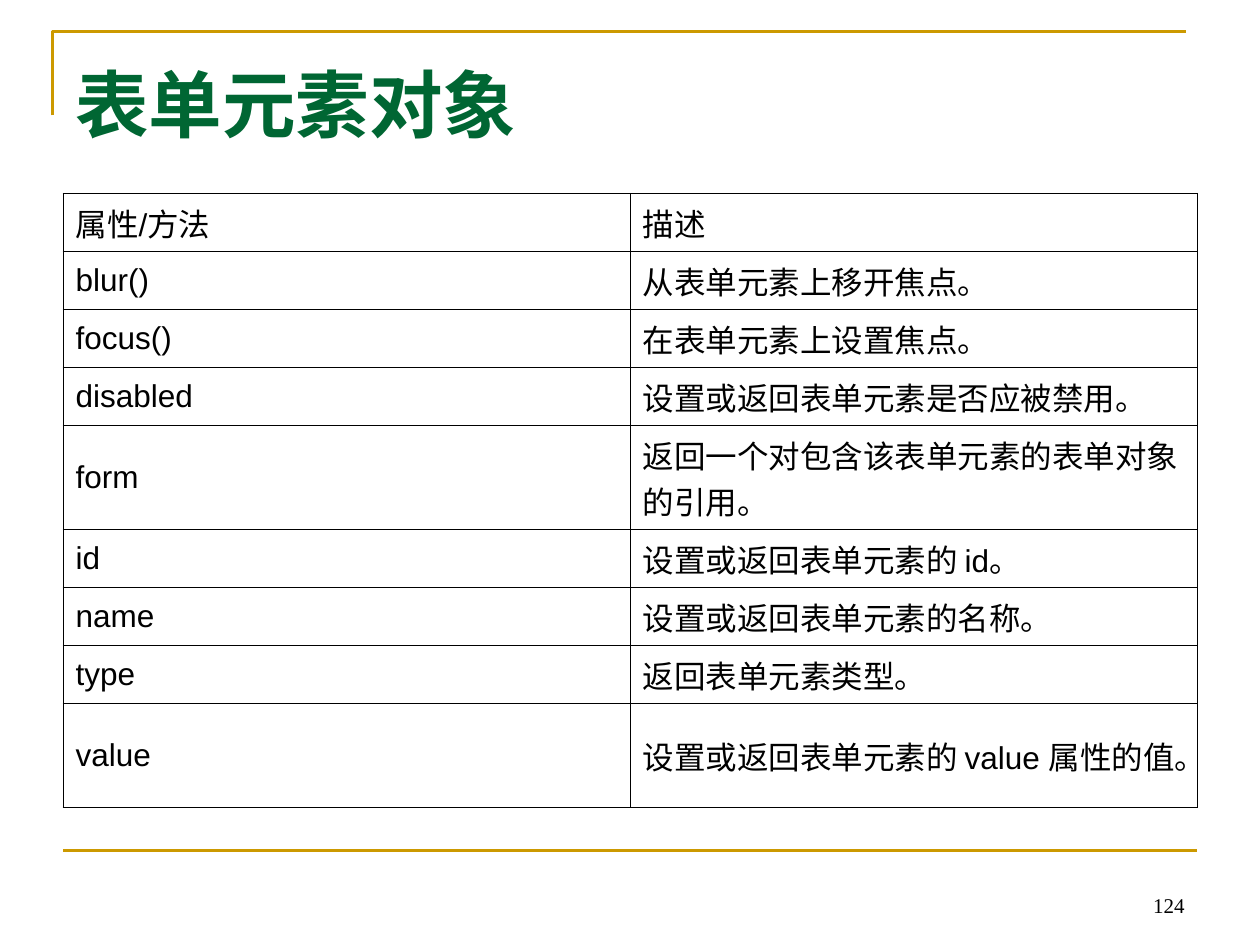
"""Build the slide listing properties and methods of form element objects."""
from lxml import etree
from pptx import Presentation
from pptx.dml.color import RGBColor
from pptx.enum.shapes import MSO_CONNECTOR
from pptx.enum.text import MSO_ANCHOR, PP_ALIGN
from pptx.oxml.ns import qn
from pptx.util import Pt

STRAIGHT = MSO_CONNECTOR.STRAIGHT
TOP, MIDDLE, BOTTOM = MSO_ANCHOR.TOP, MSO_ANCHOR.MIDDLE, MSO_ANCHOR.BOTTOM
LEFT, RIGHT = PP_ALIGN.LEFT, PP_ALIGN.RIGHT
GOLD = RGBColor(0xCC, 0x99, 0x00)
GREEN = RGBColor(0x00, 0x66, 0x33)
BLACK = RGBColor(0x00, 0x00, 0x00)
WHITE = RGBColor(0xFF, 0xFF, 0xFF)

TITLE_FONT = {"name": "Times New Roman", "size": Pt(42), "bold": True}
NUMBER_FONT = {"name": "Times New Roman", "size": Pt(12), "bold": False}
CELL_FONT = {"name": "Arial", "size": Pt(18), "bold": False}
ONE_LINE, TWO_LINES = 33.2, 59.4
ROWS = [
    ("属性/方法", "描述", ONE_LINE),
    ("blur()", "从表单元素上移开焦点。", ONE_LINE),
    ("focus()", "在表单元素上设置焦点。", ONE_LINE),
    ("disabled", "设置或返回表单元素是否应被禁用。", ONE_LINE),
    ("form", "返回一个对包含该表单元素的表单对象的引用。", TWO_LINES),
    ("id", "设置或返回表单元素的 id。", ONE_LINE),
    ("name", "设置或返回表单元素的名称。", ONE_LINE),
    ("type", "返回表单元素类型。", ONE_LINE),
    ("value", "设置或返回表单元素的 value 属性的值。", TWO_LINES),
]


def write(tf, text, font, color, align=LEFT):
    p = tf.paragraphs[0]
    p.alignment = align
    r = p.add_run()
    r.text = text
    for key, value in font.items():
        setattr(r.font, key, value)
    r.font.color.rgb = color


def add_borders(cell):
    tcPr = cell._tc.get_or_add_tcPr()
    for i, side in enumerate(("a:lnL", "a:lnR", "a:lnT", "a:lnB")):
        ln = etree.Element(qn(side), w=str(Pt(0.45)))
        fill = etree.SubElement(ln, qn("a:solidFill"))
        etree.SubElement(fill, qn("a:srgbClr"), val=str(BLACK))
        tcPr.insert(i, ln)


prs = Presentation()
prs.slide_width, prs.slide_height = Pt(720), Pt(540)
s = prs.slides.add_slide(prs.slide_layouts[6])

fb = s.shapes.build_freeform(Pt(30), Pt(66), scale=1.0)
fb.add_line_segments([(Pt(30), Pt(18)), (Pt(678), Pt(18))], close=False)
corner = fb.convert_to_shape()
corner.shadow.inherit = False
corner.fill.background()

rule = s.shapes.add_connector(STRAIGHT, Pt(36), Pt(486), Pt(684), Pt(486))
etree.SubElement(rule._element.spPr, qn("a:effectLst"))
for sp in (corner, rule):
    sp.line.color.rgb = GOLD
    sp.line.width = Pt(1.5)

for text, box, font, color, anchor, align in (
    ("表单元素对象", (36, 30, 648, 81), TITLE_FONT, GREEN, TOP, LEFT),
    ("124", (516, 492, 168, 36), NUMBER_FONT, BLACK, BOTTOM, RIGHT),
):
    tf = s.shapes.add_textbox(*map(Pt, box)).text_frame
    tf.word_wrap = True
    tf.vertical_anchor = anchor
    write(tf, text, font, color, align)

height = sum(row[2] for row in ROWS)
table = s.shapes.add_table(len(ROWS), 2, Pt(36), Pt(110.4), Pt(648), Pt(height)).table
table.first_row = table.horz_banding = False
for i, (name, description, row_height) in enumerate(ROWS):
    table.rows[i].height = Pt(row_height)
    for j, text in enumerate((name, description)):
        cell = table.cell(i, j)
        cell.vertical_anchor = MIDDLE
        cell.fill.solid()
        cell.fill.fore_color.rgb = WHITE
        write(cell.text_frame, text, CELL_FONT, BLACK)
        add_borders(cell)

prs.save("out.pptx")
